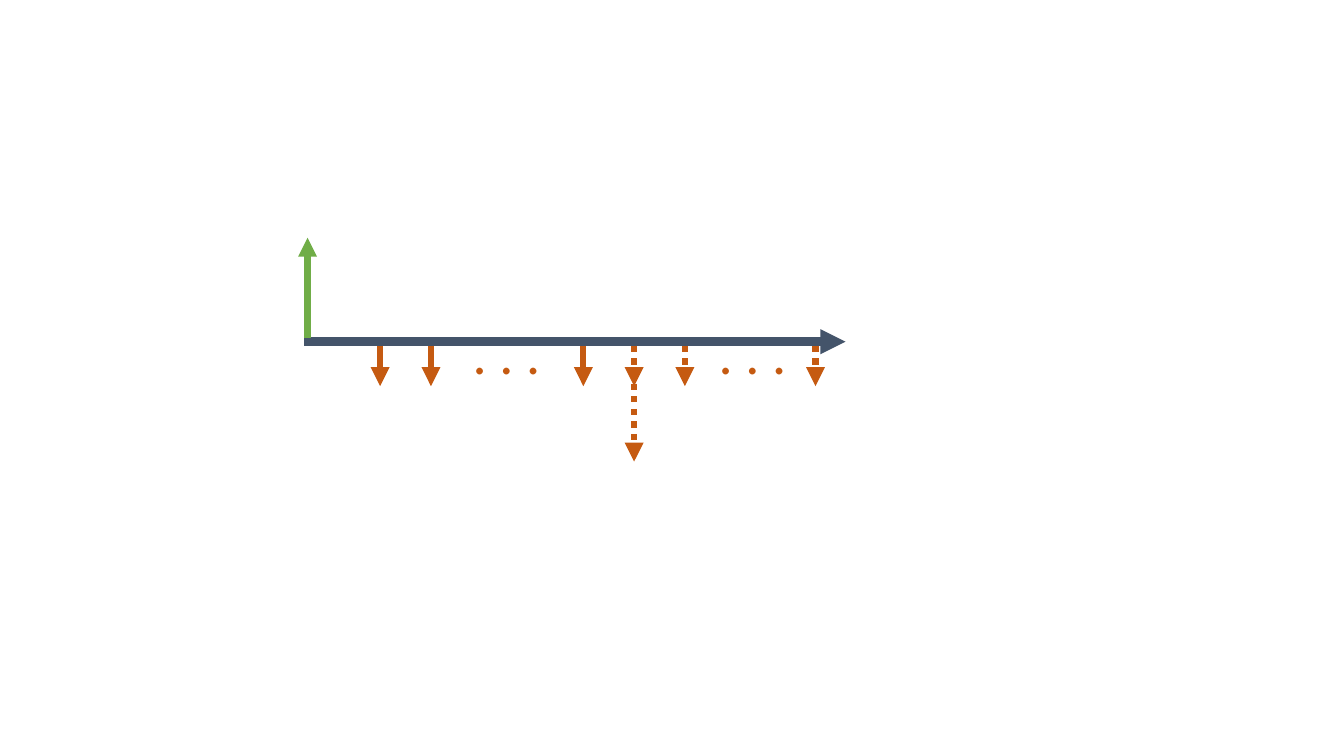
from dataclasses import dataclass

from pptx import Presentation
from pptx.dml.color import RGBColor
from pptx.enum.dml import MSO_LINE
from pptx.enum.shapes import MSO_CONNECTOR
from pptx.enum.text import MSO_AUTO_SIZE
from pptx.oxml.ns import qn
from pptx.shapes.shapetree import GroupShapes
from pptx.util import Cm, Pt
from lxml.etree import SubElement

COLORS = {"axis": "44546A", "income": "70AD47", "cost": "C55A11"}

# Payments hang below the time axis, on an even grid
TOP, TIP = 8.71, 9.73
FIRST, STEP = 9.58, 1.28
LAST = 20.55


@dataclass
class Arrow:
    start: tuple[float, float]
    end: tuple[float, float]
    color: str = "cost"
    width: float = 4.5
    dotted: bool = False


@dataclass
class Dots:
    left: float
    top: float = 7.9
    width: float = 2.26
    height: float = 1.96


def slot(num: int) -> float:
    return FIRST + num * STEP


def payment(left: float, dotted: bool, tip: float = TIP) -> Arrow:
    return Arrow((left, TOP), (left, tip), dotted=dotted)


def draw_arrow(shapes: GroupShapes, arrow: Arrow) -> None:
    ends = [Cm(val) for val in (*arrow.start, *arrow.end)]
    link = shapes.add_connector(MSO_CONNECTOR.STRAIGHT, *ends)
    line = link.line
    line.color.rgb = RGBColor.from_string(COLORS[arrow.color])
    line.width = Pt(arrow.width)
    if arrow.dotted:
        line.dash_style = MSO_LINE.ROUND_DOT  # sysDot
    props = link._element.spPr
    SubElement(props.find(qn("a:ln")), qn("a:tailEnd"), type="triangle")
    SubElement(props, qn("a:effectLst"))


def draw_dots(shapes: GroupShapes, dots: Dots) -> None:
    box = shapes.add_textbox(
        Cm(dots.left), Cm(dots.top), Cm(dots.width), Cm(dots.height)
    )
    frame = box.text_frame
    setup = {"word_wrap": False, "auto_size": MSO_AUTO_SIZE.SHAPE_TO_FIT_TEXT}
    for name, value in setup.items():
        setattr(frame, name, value)
    run = frame.paragraphs[0].add_run()
    run.text = ". . ."
    for name, value in {"name": "Calibri", "size": Pt(40)}.items():
        setattr(run.font, name, value)
    run.font.color.rgb = RGBColor.from_string(COLORS["cost"])


def main() -> None:
    deck = Presentation()
    deck.slide_width, deck.slide_height = Cm(33.87), Cm(19.05)
    slide = deck.slides.add_slide(deck.slide_layouts[6])
    shapes = slide.shapes.add_group_shape().shapes

    # Long payment, time axis and income, then the short payments
    arrows = [
        payment(slot(5), True, 11.63),
        Arrow((7.67, 8.61), (21.31, 8.61), "axis", 6),
        Arrow((7.75, 8.51), (7.75, 5.99), "income"),
        *(payment(slot(num), False) for num in (0, 1, 4)),
        *(payment(left, True) for left in (slot(5), slot(6), LAST)),
    ]
    for arrow in arrows:
        draw_arrow(shapes, arrow)

    # Gaps in the series
    for left in (11.66, 17.86):
        draw_dots(shapes, Dots(left))

    deck.save("out.pptx")


if __name__ == "__main__":
    main()
